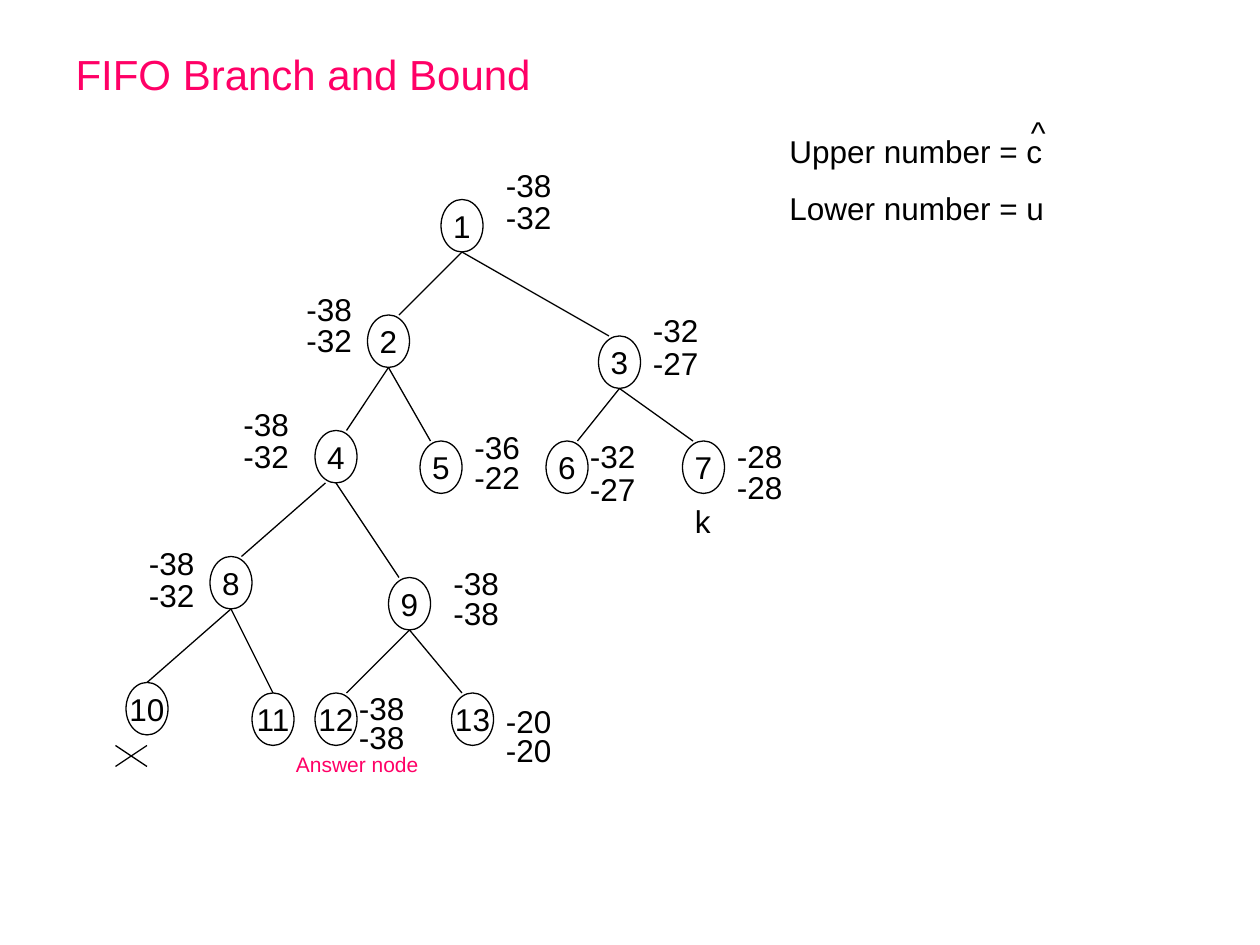
from lxml import etree
from pptx import Presentation
from pptx.dml.color import RGBColor
from pptx.enum.shapes import MSO_CONNECTOR, MSO_SHAPE
from pptx.enum.text import MSO_ANCHOR, PP_ALIGN
from pptx.oxml.ns import qn
from pptx.util import Inches, Pt

OVAL = MSO_SHAPE.OVAL
STRAIGHT = MSO_CONNECTOR.STRAIGHT
TOP, MIDDLE = MSO_ANCHOR.TOP, MSO_ANCHOR.MIDDLE
LEFT, CENTER = PP_ALIGN.LEFT, PP_ALIGN.CENTER

BLACK = RGBColor(0, 0, 0)
WHITE = RGBColor(255, 255, 255)
PINK = RGBColor(255, 0, 102)
FONT = "Arial"

COLUMNS, ROWS = 120, 90
NODE_WIDTH, NODE_HEIGHT = 4, 5
LABEL_WIDTH, LABEL_HEIGHT = 7, 4.8

NODES = {
    1: (32, 4), 2: (25, 15), 3: (47, 17), 4: (20, 26), 5: (30, 27),
    6: (42, 27), 7: (55, 27), 8: (10, 38), 9: (27, 40), 10: (2, 50),
    11: (14, 51), 12: (20, 51), 13: (33, 51),
}

# parent, child, column where the edge leaves the parent and enters the child
EDGES = [
    (1, 2, 2, 3), (1, 3, 2, 1), (2, 4, 2, 3), (2, 5, 2, 1),
    (3, 6, 2, 3), (3, 7, 2, 1), (4, 8, 1, 3), (4, 9, 2, 1),
    (8, 10, 2, 2), (8, 11, 2, 2), (9, 12, 2, 3), (9, 13, 2, 1),
]

# node: upper and lower number, offset from the node, gap between the numbers
BOUNDS = {
    1: ("-38", "-32", 5, -3.75, 3),
    2: ("-38", "-32", -7, -3, 3),
    3: ("-32", "-27", 4, -3, 3.2),
    4: ("-38", "-32", -8, -3, 3),
    5: ("-36", "-22", 4, -1.8, 2.8),
    6: ("-32", "-27", 3, -1, 3.2),
    7: ("-28", "-28", 4, -1, 3),
    8: ("-38", "-32", -7, -1.75, 3),
    9: ("-38", "-38", 5, -1.9, 2.9),
    12: ("-38", "-38", 3, -1, 2.8),
    13: ("-20", "-20", 4, 0.25, 2.75),
}


def grid(*lengths):
    return [Inches(length / 12) for length in lengths]


def style(para, size=18, color=BLACK, align=LEFT):
    para.alignment = align
    para.font.name = FONT
    para.font.size = Pt(size)
    para.font.color.rgb = color


def add_text(slide, lines, box, size=18, color=BLACK):
    frame = slide.shapes.add_textbox(*grid(*box)).text_frame
    frame.word_wrap = True
    frame.text = "\n".join(lines)
    for para in frame.paragraphs:
        style(para, size, color)
        para.space_before = Pt(size * 0.62)


def add_line(slide, start, end):
    line = slide.shapes.add_connector(STRAIGHT, *grid(*start, *end))
    line.line.color.rgb = BLACK
    line.line.width = Pt(0.75)
    etree.SubElement(line._element.spPr, qn("a:effectLst"))


def add_node(slide, number, left, top):
    node = slide.shapes.add_shape(OVAL, *grid(left, top, NODE_WIDTH, NODE_HEIGHT))
    node.shadow.inherit = False
    node.fill.solid()
    node.fill.fore_color.rgb = WHITE
    node.line.color.rgb = BLACK
    node.line.width = Pt(0.75)
    frame = node.text_frame
    frame.word_wrap = False
    frame.vertical_anchor = MIDDLE
    frame.text = str(number)
    style(frame.paragraphs[0], align=CENTER)


def place_title(slide, box):
    title = slide.shapes.title
    title.left, title.top, title.width, title.height = grid(*box)
    frame = title.text_frame
    frame.vertical_anchor = TOP
    frame.text = "FIFO Branch and Bound"
    style(frame.paragraphs[0], 24, PINK)


def draw_legend(slide, box):
    left, top, width, height = box
    add_text(slide, ["Upper number = c", "Lower number = u"], box)
    add_text(slide, ["^"], (left + 23, top - 1.8, 5, LABEL_HEIGHT))


def draw_tree(slide, left, top):
    places = {number: (left + x, top + y) for number, (x, y) in NODES.items()}
    for number, (x, y) in places.items():
        add_node(slide, number, x, y)
    for parent, child, leave, enter in EDGES:
        parent_x, parent_y = places[parent]
        child_x, child_y = places[child]
        add_line(slide, (parent_x + leave, parent_y + NODE_HEIGHT),
                 (child_x + enter, child_y))
    for number, (upper, lower, shift_x, shift_y, gap) in BOUNDS.items():
        x, y = places[number]
        for row, value in enumerate((upper, lower)):
            add_text(slide, [value], (x + shift_x, y + shift_y + row * gap,
                                      LABEL_WIDTH, LABEL_HEIGHT))
    mark_nodes(slide, places)


def mark_nodes(slide, places):
    killed_x, killed_y = places[10]
    for start, end in ((2, -1), (-1, 2)):
        add_line(slide, (killed_x + start, killed_y + 6),
                 (killed_x + end, killed_y + 8))
    k_x, k_y = places[7]
    add_text(slide, ["k"], (k_x, k_y + 5.2, 6, LABEL_HEIGHT))
    answer_x, answer_y = places[12]
    add_text(slide, ["Answer node"], (answer_x - 3, answer_y + 5, 15, 3.6), 12, PINK)


def main():
    deck = Presentation()
    deck.slide_width, deck.slide_height = grid(COLUMNS, ROWS)
    slide = deck.slides.add_slide(deck.slide_layouts[5])
    place_title(slide, (6, 4, 108, 6))
    draw_tree(slide, 10, 15)
    draw_legend(slide, (74, 12, 27, 10.3))
    deck.save("out.pptx")


if __name__ == "__main__":
    main()
